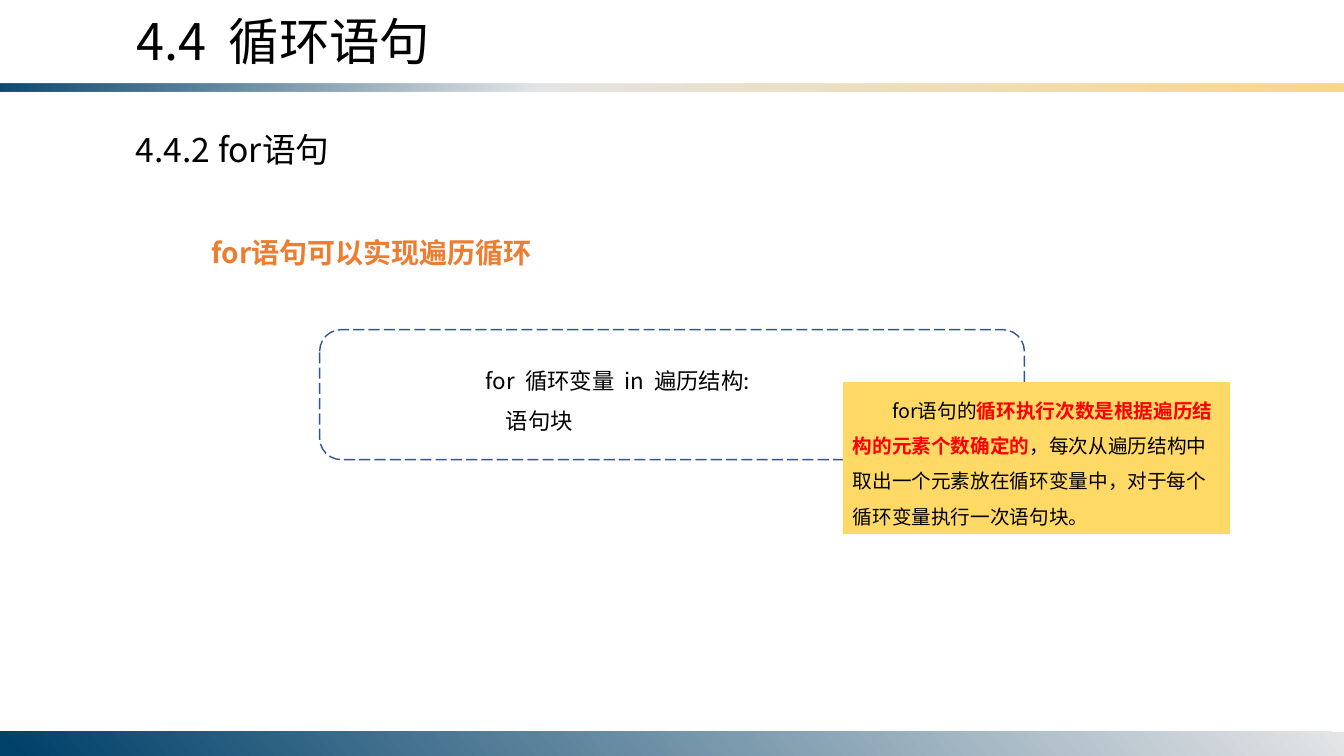
from dataclasses import dataclass

from lxml import etree
from pptx import Presentation
from pptx.dml.color import RGBColor
from pptx.enum.dml import MSO_LINE
from pptx.enum.shapes import MSO_SHAPE
from pptx.enum.text import MSO_ANCHOR, MSO_AUTO_SIZE, PP_ALIGN
from pptx.oxml.ns import qn
from pptx.util import Inches, Pt

RECTANGLE, ROUNDED = MSO_SHAPE.RECTANGLE, MSO_SHAPE.ROUNDED_RECTANGLE
LONG_DASH = MSO_LINE.LONG_DASH
TOP, LEFT, NO_FIT = MSO_ANCHOR.TOP, PP_ALIGN.LEFT, MSO_AUTO_SIZE.NONE
TITLE_ONLY = 5


@dataclass(frozen=True)
class Theme:
    font: str = "Noto Sans CJK SC"
    ink: str = "000000"
    accent: str = "ED7D31"
    alert: str = "FF0000"
    frame: str = "325491"
    note: str = "FFD966"
    navy: str = "00416A"
    silver: str = "E4E5E6"
    sand: str = "FBD786"
    title: int = 36
    heading: int = 24
    lead: int = 20
    code: int = 16
    remark: int = 14


THEME = Theme()
WIDTH, HEIGHT = 13.33, 7.5
MARGIN = 1.25


def place(item, box):
    item.left, item.top, item.width, item.height = map(Inches, box)


def write(item, paragraphs, size, color=THEME.ink, bold=False, spacing=1.0, indent=0):
    """Fill a shape with paragraphs; each is a list of (text, overrides) spans."""
    frame = item.text_frame
    frame.word_wrap = True
    frame.auto_size = NO_FIT
    frame.vertical_anchor = TOP
    for index, spans in enumerate(paragraphs):
        para = frame.paragraphs[0] if index == 0 else frame.add_paragraph()
        para.alignment = LEFT
        para.line_spacing = spacing
        if indent:
            para._p.get_or_add_pPr().set("indent", str(Inches(indent)))
        for text, changes in spans:
            span = para.add_run()
            span.text = text
            span.font.size = Pt(size)
            span.font.bold = changes.get("bold", bold)
            span.font.color.rgb = RGBColor.from_string(changes.get("color", color))
            span.font.name = THEME.font
            # East Asian characters need their own typeface entry
            east = etree.SubElement(span._r.get_or_add_rPr(), qn("a:ea"))
            east.set("typeface", THEME.font)


def add_panel(page, box, kind=RECTANGLE):
    panel = page.shapes.add_shape(kind, *map(Inches, box))
    panel.shadow.inherit = False
    panel.fill.background()
    panel.line.fill.background()
    return panel


def add_text(page, box, paragraphs, size, **style):
    write(page.shapes.add_textbox(*map(Inches, box)), paragraphs, size, **style)


def add_band(page, box, stops, angle):
    """Bar with a linear gradient; stops are (percent, colour, opacity)."""
    band = add_panel(page, box)
    band.fill.gradient()
    gradient = band._element.spPr.find(qn("a:gradFill"))
    stop_list = gradient.find(qn("a:gsLst"))
    for stop in list(stop_list):
        stop_list.remove(stop)
    for percent, color, opacity in stops:
        stop = etree.SubElement(stop_list, qn("a:gs"), pos=str(percent * 1000))
        tint = etree.SubElement(stop, qn("a:srgbClr"), val=color)
        if opacity < 100:
            etree.SubElement(tint, qn("a:alpha"), val=str(opacity * 1000))
    direction = gradient.find(qn("a:lin"))
    direction.set("ang", str(angle * 60000))
    direction.set("scaled", "0")


def add_header(page, box):
    left, top, width, height = box
    add_band(page, (left, top + height - 0.08, width, 0.08),
             [(0, THEME.navy, 95), (40, THEME.silver, 100), (100, THEME.sand, 100)], 50)
    title = page.shapes.title
    place(title, (left + MARGIN, top + 0.05, 6.12, 0.71))
    write(title, [[("4.4  循环语句", {})]], THEME.title)


def add_footer(page, box):
    add_band(page, box, [(0, THEME.silver, 100), (99, THEME.navy, 100)], 140)


def add_introduction(page, box):
    left, top, width, height = box
    add_text(page, (left, top, 2.57, 0.5), [[("4.4.2 for语句", {})]], THEME.heading)
    add_text(page, (left + 0.19, top + height - 0.6, width - 0.19, 0.6),
             [[("for语句可以实现遍历循环", {})]], THEME.lead,
             color=THEME.accent, bold=True, spacing=1.5, indent=0.56)


def add_syntax(page, box):
    left, top, width, height = box
    outline = add_panel(page, box, ROUNDED)
    outline.line.color.rgb = RGBColor.from_string(THEME.frame)
    outline.line.width = Pt(1)
    outline.line.dash_style = LONG_DASH
    add_text(page, (left + 1.55, top + 0.19, 3.88, height - 0.38),
             [[("for  循环变量  in  遍历结构:", {})], [("    语句块", {})]],
             THEME.code, spacing=1.5)


def add_remark(page, box):
    panel = add_panel(page, box)
    panel.fill.solid()
    panel.fill.fore_color.rgb = RGBColor.from_string(THEME.note)
    spans = [
        ("for语句的", {}),
        ("循环执行次数是根据遍历结构的元素个数确定的", {"color": THEME.alert, "bold": True}),
        ("，每次从遍历结构中取出一个元素放在循环变量中，对于每个循环变量执行一次语句块。", {}),
    ]
    write(panel, [spans], THEME.remark, spacing=1.5, indent=0.39)


def main():
    deck = Presentation()
    deck.slide_width, deck.slide_height = Inches(WIDTH), Inches(HEIGHT)
    page = deck.slides.add_slide(deck.slide_layouts[TITLE_ONLY])
    # Page bands and title
    add_header(page, (0, 0, WIDTH, 0.91))
    add_footer(page, (0, HEIGHT - 0.24, WIDTH, 0.24))
    # Lesson content, with the remark overlapping the syntax frame
    add_introduction(page, (MARGIN, 1.23, 10.64, 1.49))
    add_syntax(page, (3.17, 3.27, 6.99, 1.29))
    add_remark(page, (8.36, 3.79, 3.84, 1.51))
    deck.save("out.pptx")


if __name__ == "__main__":
    main()
